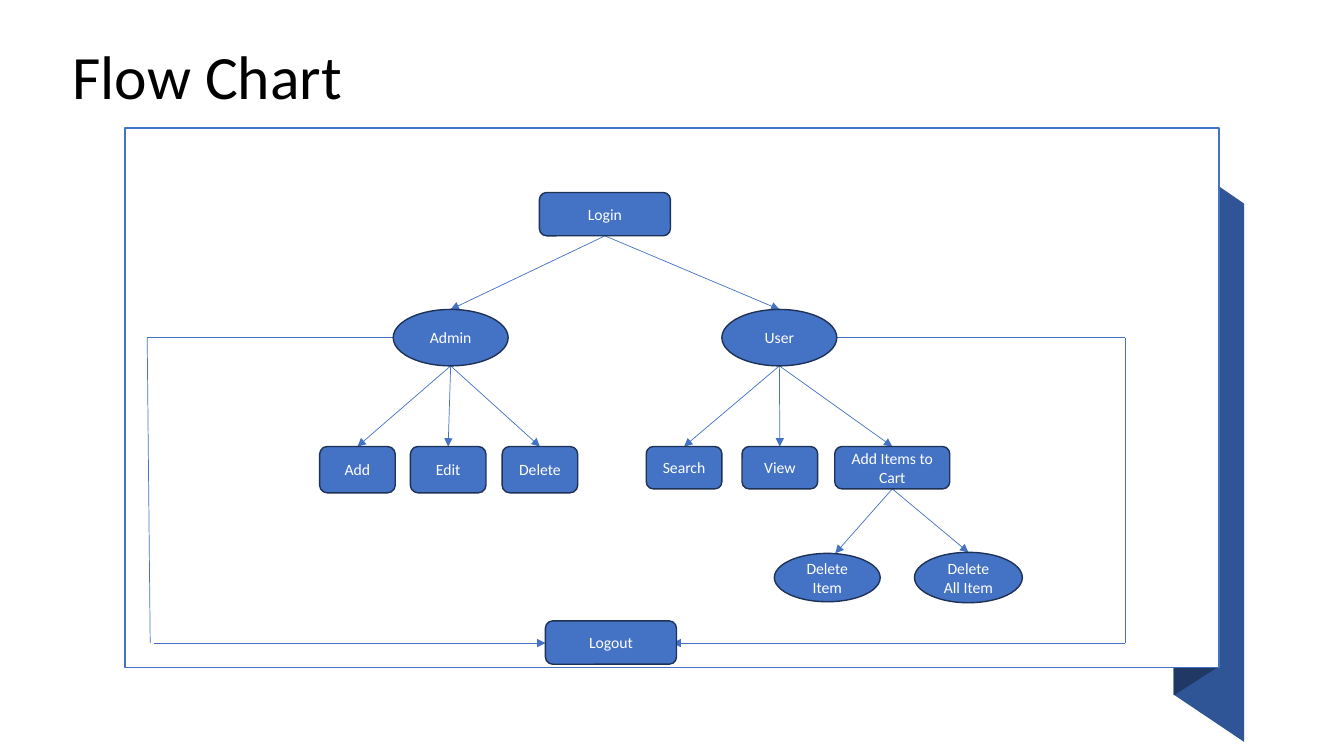
"""Build the flow chart slide for a shop with admin and user roles."""
from dataclasses import dataclass

import pptx
import pptx.dml.color
import pptx.enum.shapes
import pptx.enum.text
import pptx.oxml
import pptx.oxml.ns
import pptx.util

Inches = pptx.util.Inches
Pt = pptx.util.Pt
Kind = pptx.enum.shapes.MSO_SHAPE
Align = pptx.enum.text.PP_ALIGN
Anchor = pptx.enum.text.MSO_ANCHOR

FONT = "Calibri"
COLORS = {
    "blue": "4472C4",
    "edge": "1E3256",
    "fold": "2F5597",
    "shade": "203864",
    "white": "FFFFFF",
    "black": "000000",
}


@dataclass
class Node:
    text: str
    left: float
    top: float
    width: float
    height: float
    kind: int = Kind.ROUNDED_RECTANGLE
    parent: str = ""
    shift: float = 0

    @property
    def center(self) -> float:
        return self.left + self.width / 2


@dataclass
class Line:
    start: tuple[float, float]
    end: tuple[float, float]
    arrow: bool = False


@dataclass
class Panel:
    points: list[tuple[float, float]]
    color: str


PANELS = [
    Panel([(12.34, 7.36), (11.64, 6.89), (11.64, 1.54), (12.34, 2.02)], "fold"),
    Panel([(12.06, 6.63), (11.64, 6.9), (11.64, 1.54), (12.06, 1.27)], "shade"),
]

NODES = [
    Node("Login", 5.35, 1.91, 1.3, 0.43),
    Node("Admin", 3.9, 3.07, 1.14, 0.56, Kind.OVAL, "Login"),
    Node("User", 7.16, 3.07, 1.14, 0.56, Kind.OVAL, "Login"),
    Node("Add", 3.17, 4.43, 0.75, 0.46, parent="Admin"),
    Node("Edit", 4.07, 4.43, 0.75, 0.46, parent="Admin"),
    Node("Delete", 4.98, 4.43, 0.75, 0.46, parent="Admin"),
    Node("Search", 6.41, 4.43, 0.75, 0.42, parent="User"),
    Node("View", 7.36, 4.43, 0.75, 0.42, parent="User"),
    Node("Add Items to Cart", 8.28, 4.43, 1.14, 0.42, parent="User"),
    Node("Delete Item", 7.68, 5.49, 1.05, 0.48, Kind.OVAL, "Add Items to Cart", 0.08),
    Node("Delete All Item", 9.07, 5.48, 1.07, 0.5, Kind.OVAL, "Add Items to Cart"),
    Node("Logout", 5.41, 6.16, 1.3, 0.43),
]

EXITS = [
    Line((8.3, 3.35), (11.16, 3.35)),
    Line((11.16, 6.38), (11.16, 3.35)),
    Line((3.9, 3.35), (1.46, 3.35)),
    Line((1.46, 3.35), (1.49, 6.38)),
    Line((1.53, 6.38), (5.41, 6.38), True),
    Line((11.16, 6.38), (6.67, 6.38), True),
]


def color(name: str) -> pptx.dml.color.RGBColor:
    return pptx.dml.color.RGBColor.from_string(COLORS[name])


def paint(shape, fill: str, edge: str = "") -> None:
    shape.shadow.inherit = False
    shape.fill.solid()
    shape.fill.fore_color.rgb = color(fill)
    if edge:
        shape.line.color.rgb = color(edge)
        shape.line.width = Pt(1)
    else:
        shape.line.fill.background()


def write(shape, text: str, size: float, ink: str, align: int):
    frame = shape.text_frame
    frame.text = text
    frame.word_wrap = True
    frame.vertical_anchor = Anchor.MIDDLE
    para = frame.paragraphs[0]
    para.alignment = align
    font = para.runs[0].font
    font.name = FONT
    font.size = Pt(size)
    font.color.rgb = color(ink)
    return frame


def draw_panel(shapes, panel: Panel) -> None:
    points = [(Inches(x), Inches(y)) for x, y in panel.points]
    builder = shapes.build_freeform(*points[0])
    builder.add_line_segments(points[1:], close=True)
    paint(builder.convert_to_shape(), panel.color)


def draw_line(shapes, line: Line) -> None:
    ends = [Inches(value) for value in (*line.start, *line.end)]
    link = shapes.add_connector(pptx.enum.shapes.MSO_CONNECTOR.STRAIGHT, *ends)
    link.line.color.rgb = color("blue")
    link.line.width = Pt(0.5)
    if line.arrow:
        tail = pptx.oxml.parse_xml(
            f'<a:tailEnd {pptx.oxml.ns.nsdecls("a")} type="triangle"/>')
        link.line._get_or_add_ln().append(tail)
    link._element.spPr.append(
        pptx.oxml.parse_xml(f'<a:effectLst {pptx.oxml.ns.nsdecls("a")}/>'))


def draw_node(shapes, node: Node) -> None:
    box = (node.left, node.top, node.width, node.height)
    shape = shapes.add_shape(node.kind, *map(Inches, box))
    paint(shape, "blue", "edge")
    frame = write(shape, node.text, 11.2, "white", Align.CENTER)
    frame.margin_left = frame.margin_right = Inches(0.08)
    frame.margin_top = frame.margin_bottom = Inches(0.04)
    frame.paragraphs[0].space_after = Pt(5.4)


def tree_lines(nodes: list[Node]) -> list[Line]:
    named = {node.text: node for node in nodes}
    lines = []
    for node in nodes:
        if node.parent:
            above = named[node.parent]
            start = (above.center, above.top + above.height)
            lines.append(Line(start, (node.center + node.shift, node.top), True))
    return lines


def main() -> None:
    deck = pptx.Presentation()
    deck.slide_width = Inches(13.33)
    deck.slide_height = Inches(7.5)
    shapes = deck.slides.add_slide(deck.slide_layouts[6]).shapes

    title = shapes.add_textbox(*map(Inches, (0.62, 0.06, 11.5, 1.45)))
    frame = write(title, "Flow Chart", 44, "black", Align.LEFT)
    frame.paragraphs[0].line_spacing = 0.9

    for panel in PANELS:
        draw_panel(shapes, panel)
    board = shapes.add_shape(Kind.RECTANGLE, *map(Inches, (1.24, 1.27, 10.85, 5.35)))
    paint(board, "white", "blue")

    for line in tree_lines(NODES) + EXITS:
        draw_line(shapes, line)
    for node in NODES:
        draw_node(shapes, node)

    deck.save("out.pptx")


if __name__ == "__main__":
    main()
